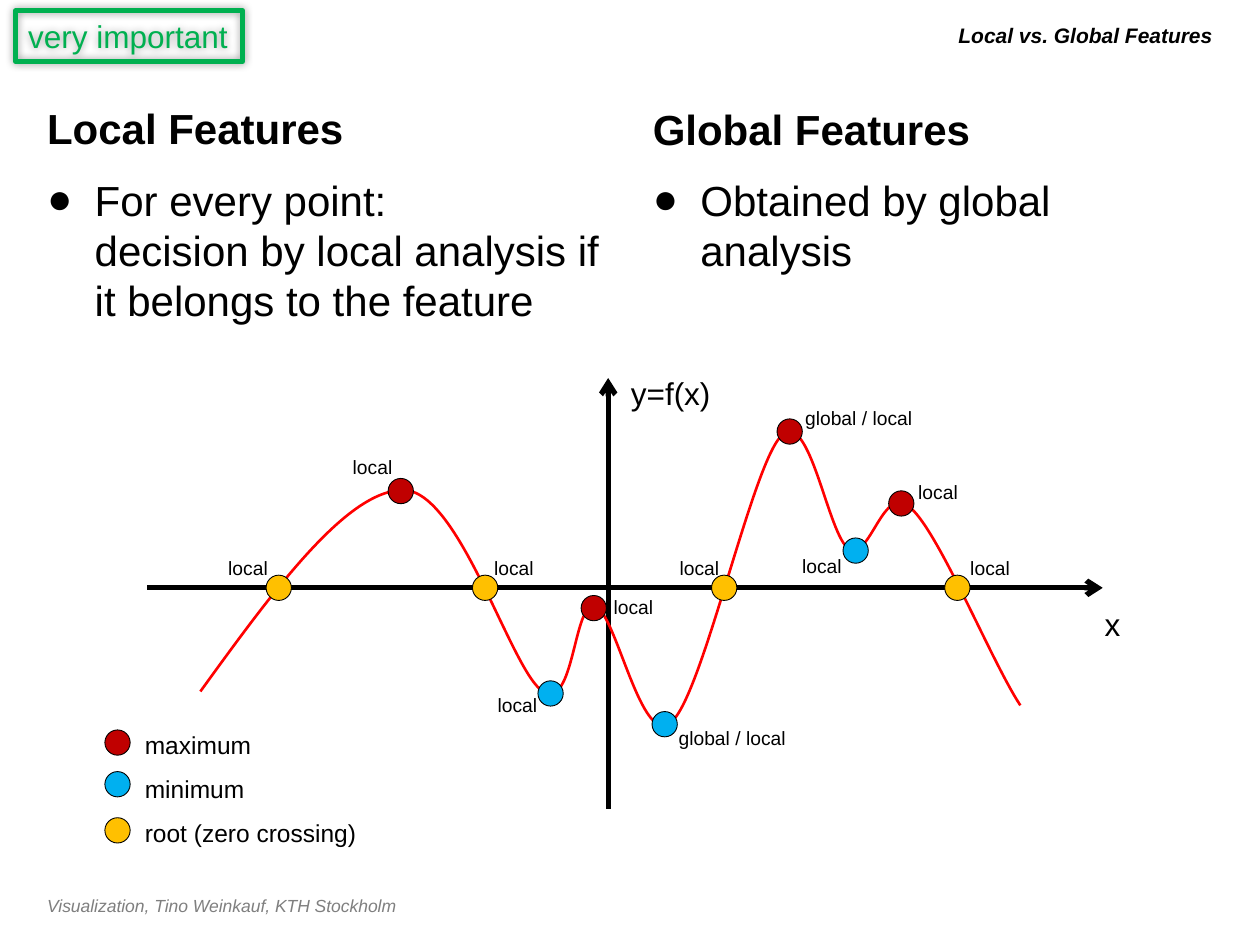
from lxml import etree
from pptx import Presentation
from pptx import util as u
from pptx.dml.color import RGBColor
from pptx.enum import shapes, text
from pptx.oxml import ns

RED, BLUE, YELLOW, GREEN = "C00000", "00B0F0", "FFC000", "00B050"
TITLE_ONLY = 5


def rgb(value):
    return RGBColor.from_string(value)


def add_xml(parent, tag, **attributes):
    return etree.SubElement(parent, ns.qn(tag), attributes)


def write(box, lines, size=18, color="000000", bold=False, italic=False,
          align=text.PP_ALIGN.LEFT, anchor=text.MSO_ANCHOR.TOP, wrap=True,
          inset=True, spacing=None, bullet=False):
    """Fill a shape with one paragraph per line, all in one format."""
    frame = box.text_frame
    frame.word_wrap = wrap
    frame.vertical_anchor = anchor
    across, down = (0.25, 0.13) if inset else (0, 0)
    frame.margin_left = frame.margin_right = u.Cm(across)
    frame.margin_top = frame.margin_bottom = u.Cm(down)
    frame.text = lines
    for para in frame.paragraphs:
        para.alignment = align
        if spacing:
            para.line_spacing = spacing
        if bullet:
            props = para._p.get_or_add_pPr()
            props.set("marL", str(u.Cm(0.96)))
            props.set("indent", str(-u.Cm(0.96)))
            add_xml(props, "a:buFont", typeface="Arial")
            add_xml(props, "a:buChar", char="●")
        for span in para.runs:
            font = span.font
            font.name, font.size = "Arial", u.Pt(size)
            font.bold, font.italic = bold, italic
            font.color.rgb = rgb(color)


class SlideBuilder:
    """Draws on one slide; every length is in centimetres."""

    DOT = 0.51

    def __init__(self, slide):
        self.slide = slide
        self.shapes = slide.shapes

    def title(self, words, left, top, width, height, **style):
        box = self.slide.shapes.title
        box.left, box.top = u.Cm(left), u.Cm(top)
        box.width, box.height = u.Cm(width), u.Cm(height)
        write(box, words, **style)

    def label(self, words, left, top, width, height, **style):
        box = self.shapes.add_textbox(*map(u.Cm, (left, top, width, height)))
        write(box, words, **style)

    def dot(self, x, y, color):
        corner = u.Cm(x - self.DOT / 2), u.Cm(y - self.DOT / 2)
        dot = self.shapes.add_shape(shapes.MSO_SHAPE.OVAL, *corner,
                                    u.Cm(self.DOT), u.Cm(self.DOT))
        dot.shadow.inherit = False
        dot.fill.solid()
        dot.fill.fore_color.rgb = rgb(color)
        dot.line.color.rgb = rgb("000000")
        dot.line.width = u.Pt(0.5)

    def axis(self, x1, y1, x2, y2):
        axis = self.shapes.add_connector(shapes.MSO_CONNECTOR.STRAIGHT,
                                         *map(u.Cm, (x1, y1, x2, y2)))
        axis.line.color.rgb = rgb("000000")
        axis.line.width = u.Pt(3)
        add_xml(axis.line._get_or_add_ln(), "a:tailEnd", type="arrow")
        add_xml(axis._element.spPr, "a:effectLst")

    def curve(self, start, pieces, color):
        """Join cubic pieces, each given as two control points and an end."""
        ends = [(u.Cm(x), u.Cm(y)) for _, _, (x, y) in pieces]
        builder = self.shapes.build_freeform(*map(u.Cm, start))
        builder.add_line_segments(ends, close=False)
        curve = builder.convert_to_shape()
        segments = list(curve._element.iter(ns.qn("a:lnTo")))
        for segment, piece in zip(segments, pieces):
            cubic = etree.Element(ns.qn("a:cubicBezTo"))
            for x, y in piece:
                add_xml(cubic, "a:pt", x=str(u.Cm(x) - curve.left),
                        y=str(u.Cm(y) - curve.top))
            segment.getparent().replace(segment, cubic)
        curve.shadow.inherit = False
        curve.fill.background()
        curve.line.color.rgb = rgb(color)
        curve.line.width = u.Pt(1.5)

    def badge(self, words, left, top, width, height, color):
        badge = self.shapes.add_shape(shapes.MSO_SHAPE.RECTANGLE,
                                      *map(u.Cm, (left, top, width, height)))
        badge.fill.background()
        badge.line.color.rgb = rgb(color)
        badge.line.width = u.Pt(3)
        badge.shadow.inherit = False
        effects = badge._element.spPr.find(ns.qn("a:effectLst"))
        glow = add_xml(effects, "a:outerShdw", blurRad=str(u.Pt(5)),
                       dist="0", dir="0", rotWithShape="0")
        black = add_xml(glow, "a:srgbClr", val="000000")
        add_xml(black, "a:alpha", val="40000")
        write(badge, words, color=color, wrap=False)

    def legend(self, entries, left, top, width, height):
        """Group the dots, given as (y, colour, words), with their words."""
        self.shapes = self.slide.shapes.add_group_shape().shapes
        for y, color, _ in entries:
            self.dot(left, y, color)
        self.label("\n".join(words for _, _, words in entries),
                   left + 0.3, top, width, height,
                   size=14, wrap=False, spacing=1.5)
        self.shapes = self.slide.shapes


COLUMNS = [
    (0.7, 1.52, "Local Features",
     "For every point:\vdecision by local analysis if it belongs to the feature"),
    (12.91, 1.54, "Global Features", "Obtained by global analysis"),
]
CURVE_START = (4.04, 13.94)
CURVE_PIECES = [
    ((5.51, 11.91), (6.99, 9.88), (8.13, 9.88)),
    ((9.27, 9.88), (10.31, 13.56), (10.95, 13.94)),
    ((11.58, 14.33), (11.56, 12.12), (11.99, 12.22)),
    ((12.42, 12.32), (12.93, 15.14), (13.54, 14.55)),
    ((14.17, 14), (15.16, 9.37), (15.75, 8.79)),
    ((16.33, 8.2), (16.69, 10.82), (17.12, 11.07)),
    ((17.55, 11.3), (17.81, 9.7), (18.36, 10.24)),
    ((18.95, 10.77), (19.99, 13.34), (20.57, 14.22)),
]
FEATURES = {
    RED: [(8.08, 9.9), (11.97, 12.26), (15.92, 8.7), (18.17, 10.15)],
    BLUE: [(11.1, 13.98), (13.4, 14.6), (17.25, 11.1)],
    YELLOW: [(x, 11.85) for x in (5.62, 9.78, 14.6, 19.3)],
}
FEATURE_LABELS = {
    ("local", 0.81): [
        (4.6, 11.22), (7.11, 9.17), (9.96, 11.22), (10.03, 13.97),
        (12.37, 12), (13.7, 11.22), (16.17, 11.18), (18.51, 9.68),
        (19.56, 11.22)],
    ("global / local", 2.18): [(13.68, 14.64), (16.23, 8.2)],
}
LEGEND = [(14.97, RED, "maximum"), (15.81, BLUE, "minimum"),
          (16.74, YELLOW, "root (zero crossing)")]


def main():
    deck = Presentation()
    deck.slide_width, deck.slide_height = u.Cm(25.4), u.Cm(19.05)
    page = SlideBuilder(deck.slides.add_slide(deck.slide_layouts[TITLE_ONLY]))

    page.label("Visualization, Tino Weinkauf, KTH Stockholm", 0.7, 17.92,
               18.77, 0.69, size=10, color="7F7F7F", italic=True)
    for left, top, heading, body in COLUMNS:
        page.label(heading, left, top, 11.79, 1.7, size=24, bold=True,
                   anchor=text.MSO_ANCHOR.BOTTOM)
        page.label(body, left, 3.38, 11.79, 14.17, size=24, spacing=1,
                   bullet=True)
    page.title("Local vs. Global Features", 4.02, 0.32, 20.68, 0.79, size=12,
               bold=True, italic=True, align=text.PP_ALIGN.RIGHT,
               anchor=text.MSO_ANCHOR.MIDDLE)

    page.axis(2.97, 11.85, 22.23, 11.85)
    page.axis(12.26, 16.3, 12.26, 7.62)
    page.label("x", 22.02, 12.07, 0.84, 1.02, wrap=False)
    page.label("y=f(x)", 12.47, 7.42, 2.13, 1.02, wrap=False)
    page.curve(CURVE_START, CURVE_PIECES, "FF0000")
    for color, centers in FEATURES.items():
        for x, y in centers:
            page.dot(x, y, color)
    page.legend(LEGEND, 2.37, 14.29, 4.8, 2.95)
    for (words, width), corners in FEATURE_LABELS.items():
        for left, top in corners:
            page.label(words, left, top, width, 0.48, size=11, wrap=False,
                       inset=False)
    page.badge("very important", 0.32, 0.22, 4.57, 1.02, GREEN)

    deck.save("out.pptx")


if __name__ == "__main__":
    main()
